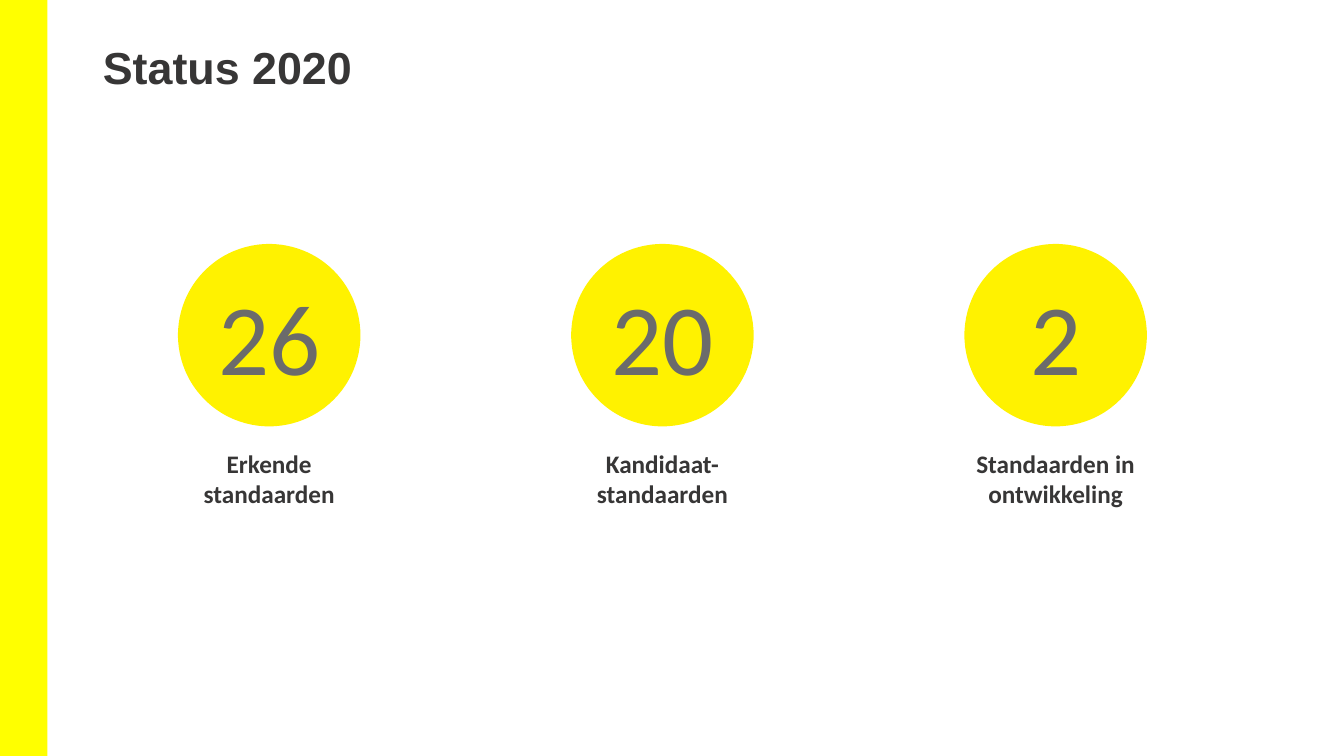
"""Build the Status 2020 slide with three counted groups of standards."""
from dataclasses import dataclass

from pptx import Presentation
from pptx.dml.color import RGBColor
from pptx.enum.shapes import MSO_SHAPE
from pptx.enum.text import MSO_ANCHOR, PP_ALIGN
from pptx.util import Inches, Pt

RECT, OVAL = MSO_SHAPE.RECTANGLE, MSO_SHAPE.OVAL
TOP, MIDDLE = MSO_ANCHOR.TOP, MSO_ANCHOR.MIDDLE
LEFT, CENTER = PP_ALIGN.LEFT, PP_ALIGN.CENTER

COLORS = {"bar": "FFFF00", "circle": "FFF200", "number": "6B6B6B", "text": "373636"}
FORMATS = {
    "title": {"name": "Arial", "size": Pt(32), "bold": True},
    "number": {"name": "Calibri", "size": Pt(72), "bold": False},
    "label": {"name": "Calibri", "size": Pt(18), "bold": True},
}
FIRST_CENTER, PITCH = 2.67, 3.9
CIRCLE_SIZE, LABEL_WIDTH = 1.81, 2.16


@dataclass
class Status:
    number: str
    label: str


STATUSES = [
    Status("26", "Erkende standaarden"),
    Status("20", "Kandidaat- standaarden"),
    Status("2", "Standaarden in ontwikkeling"),
]


def write(sp, text: str, style: str, color: str, align, anchor) -> None:
    tf = sp.text_frame
    tf.word_wrap = True
    tf.vertical_anchor = anchor
    p = tf.paragraphs[0]
    p.alignment = align
    r = p.add_run()
    r.text = text
    for name, value in FORMATS[style].items():
        setattr(r.font, name, value)
    r.font.color.rgb = RGBColor.from_string(COLORS[color])


def add_filled(s, kind, x: float, y: float, w: float, h: float, color: str):
    sp = s.shapes.add_shape(kind, Inches(x), Inches(y), Inches(w), Inches(h))
    sp.shadow.inherit = False
    sp.fill.solid()
    sp.fill.fore_color.rgb = RGBColor.from_string(COLORS[color])
    sp.line.fill.background()
    return sp


def add_title(s, text: str) -> None:
    sp = s.shapes.title
    sp.left, sp.top = Inches(0.92), Inches(0.11)
    sp.width, sp.height = Inches(8.82), Inches(1.21)
    write(sp, text, "title", "text", LEFT, MIDDLE)
    sp.text_frame.paragraphs[0].line_spacing = 0.75


def add_status(s, status: Status, center: float) -> None:
    circle = add_filled(s, OVAL, center - CIRCLE_SIZE / 2, 2.42, CIRCLE_SIZE, CIRCLE_SIZE, "circle")
    write(circle, status.number, "number", "number", CENTER, MIDDLE)
    label = s.shapes.add_textbox(
        Inches(center - LABEL_WIDTH / 2), Inches(4.4), Inches(LABEL_WIDTH), Inches(0.71))
    write(label, status.label, "label", "text", CENTER, TOP)


def main() -> None:
    prs = Presentation()
    prs.slide_width, prs.slide_height = Inches(13.33), Inches(7.5)
    s = prs.slides.add_slide(prs.slide_layouts.get_by_name("Title Only"))
    add_filled(s, RECT, 0, 0, 0.47, 7.5, "bar")
    add_title(s, "Status 2020")
    for i, status in enumerate(STATUSES):
        add_status(s, status, FIRST_CENTER + i * PITCH)
    prs.save("out.pptx")


if __name__ == "__main__":
    main()
